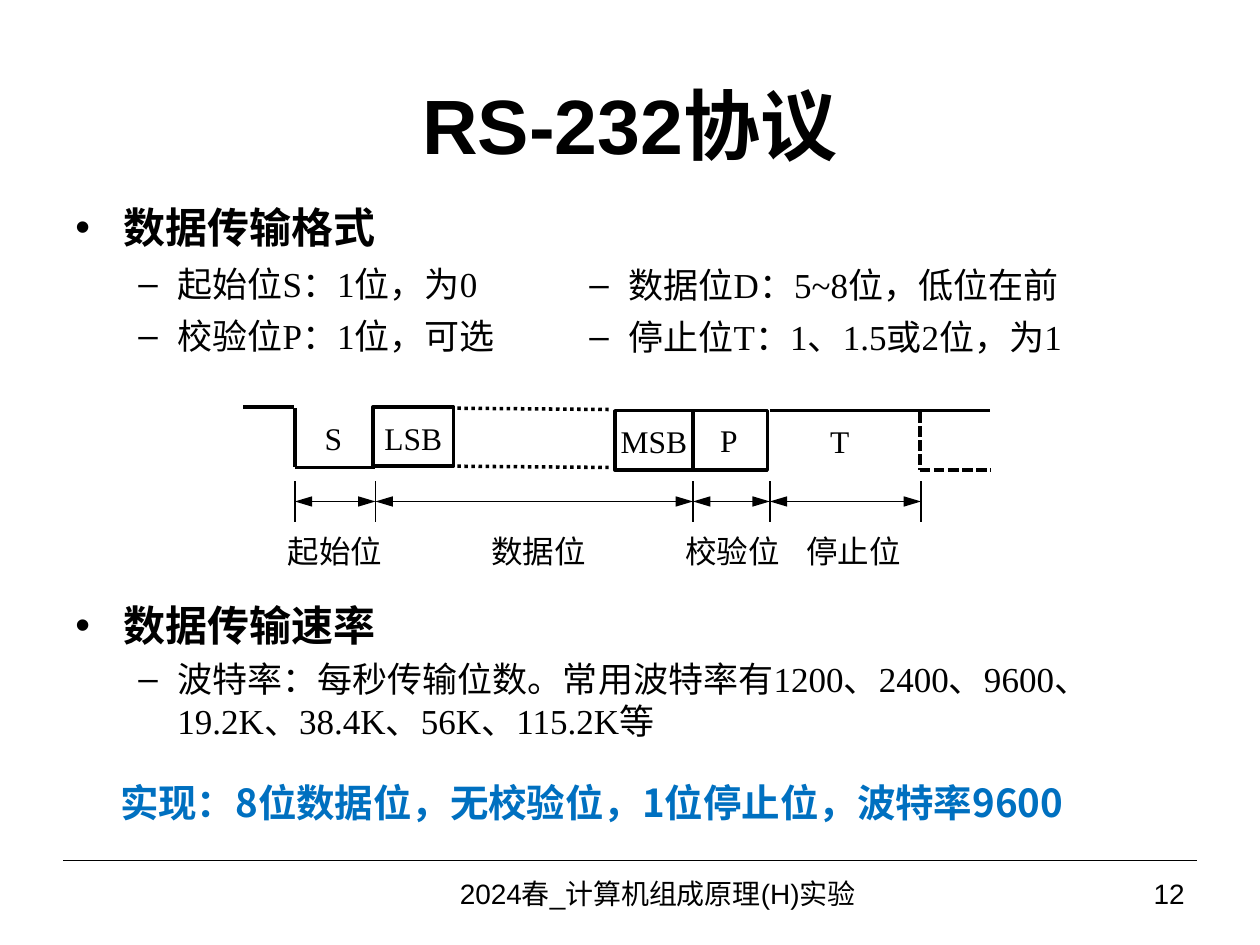
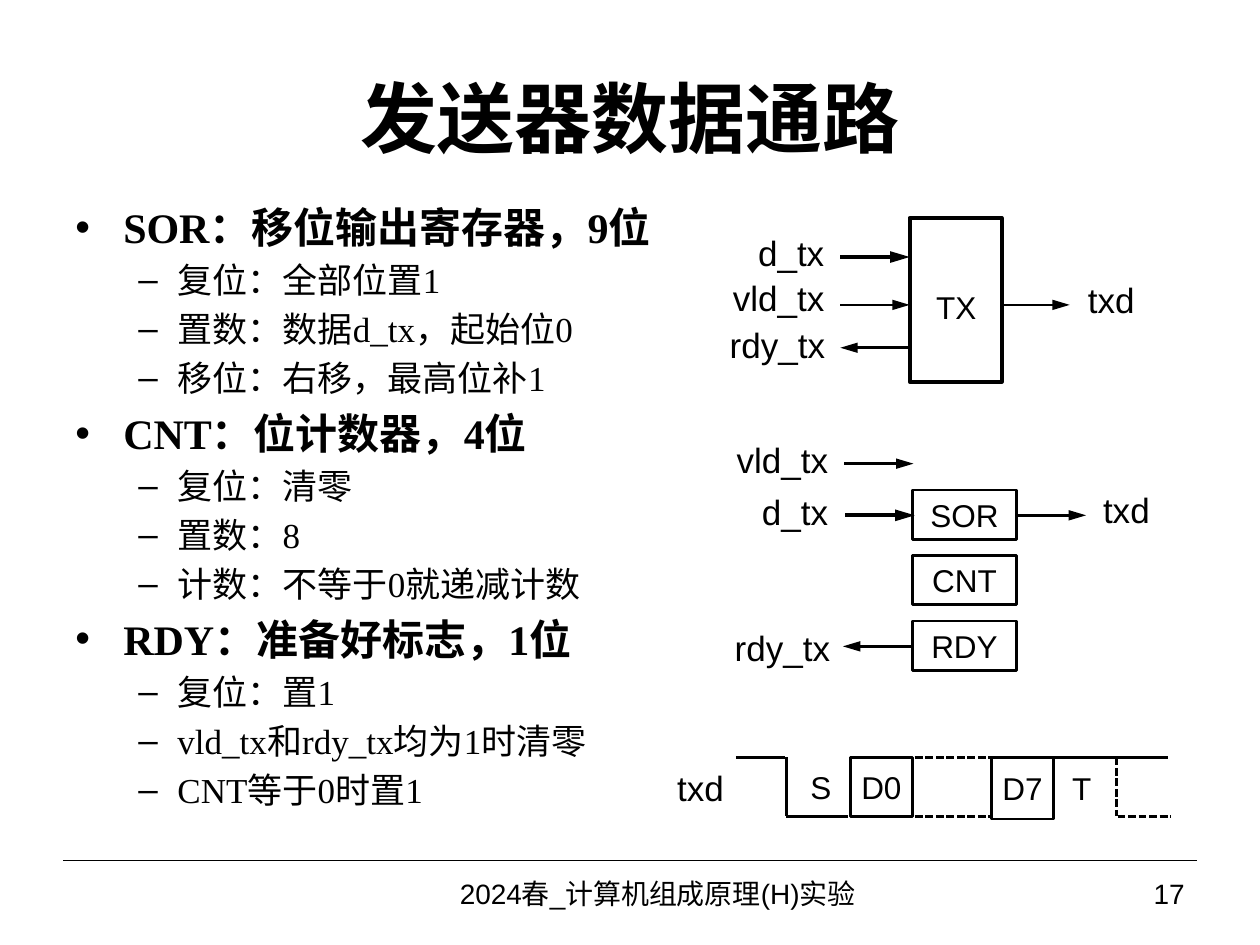
from lxml.etree import SubElement
from pptx import Presentation
from pptx.dml.color import RGBColor
from pptx.enum.dml import MSO_LINE
from pptx.enum.shapes import MSO_CONNECTOR, MSO_SHAPE
from pptx.enum.text import MSO_ANCHOR, PP_ALIGN
from pptx.oxml.ns import qn
from pptx.util import Inches, Pt

COLORS = {"ink": "000000", "paper": "FFFFFF", "accent": "0070C0"}
SANS, SERIF, CJK = "Arial", "Times New Roman", "Noto Sans CJK SC"
ALIGN = {"l": PP_ALIGN.LEFT, "c": PP_ALIGN.CENTER, "r": PP_ALIGN.RIGHT}
BULLETS = [("•", 0.38, 0.38, 24), ("–", 0.81, 0.31, 20)]
FOOTER = "2024春_计算机组成原理(H)实验 "
FOOTER_TOP = 6.83
SIGNAL_WIDTH, SIGNAL_HEIGHT = 0.9, 0.42


def color(name):
    return RGBColor.from_string(COLORS[name])


def format_run(run, size, font, ink="ink", bold=False):
    run.font.size = Pt(size)
    run.font.bold = bold
    run.font.color.rgb = color(ink)
    run.font.name = font
    SubElement(run._r.get_or_add_rPr(), qn("a:ea")).set("typeface", CJK)


def write(shape, text, size=18, font=SANS, ink="ink", bold=False, align="c",
          middle=True, inset=(0, 0)):
    frame = shape.text_frame
    frame.word_wrap = True
    frame.vertical_anchor = MSO_ANCHOR.MIDDLE if middle else MSO_ANCHOR.TOP
    frame.margin_left = frame.margin_right = Inches(inset[0])
    frame.margin_top = frame.margin_bottom = Inches(inset[1])
    paragraph = frame.paragraphs[0]
    paragraph.alignment = ALIGN[align]
    run = paragraph.add_run()
    run.text = text
    format_run(run, size, font, ink, bold)


def add_label(slide, text, left, top, width, height, **style):
    label = slide.shapes.add_textbox(*map(Inches, (left, top, width, height)))
    write(label, text, **style)


def add_cell(slide, left, top, width, height, text=None, weight=1.5):
    cell = slide.shapes.add_shape(
        MSO_SHAPE.RECTANGLE, *map(Inches, (left, top, width, height)))
    cell.shadow.inherit = False
    cell.fill.background()
    cell.line.color.rgb = color("ink")
    cell.line.width = Pt(weight)
    if text:
        write(cell, text)


def add_line(slide, x1, y1, x2, y2, weight=1.5, dash=None, ends=()):
    line = slide.shapes.add_connector(
        MSO_CONNECTOR.STRAIGHT, *map(Inches, (x1, y1, x2, y2)))
    line.line.color.rgb = color("ink")
    line.line.width = Pt(weight)
    if dash:
        line.line.dash_style = dash
    outline = line.line._get_or_add_ln()
    for end in ends:
        SubElement(outline, qn(f"a:{end}"), type="triangle", w="med", len="lg")
    SubElement(line._element.spPr, qn("a:effectLst"))


def add_bullets(slide, items, left, top, width, height, sub_gap=4):
    frame = slide.shapes.add_textbox(
        *map(Inches, (left, top, width, height))).text_frame
    frame.word_wrap = True
    for index, (level, text) in enumerate(items):
        mark, margin, hanging, size = BULLETS[level]
        paragraph = frame.add_paragraph() if index else frame.paragraphs[0]
        paragraph.level = level
        paragraph.space_before = Pt(sub_gap if level else 4.8)
        properties = paragraph._p.get_or_add_pPr()
        properties.set("marL", str(Inches(margin)))
        properties.set("indent", str(-Inches(hanging)))
        SubElement(properties, qn("a:buFont"), typeface=SANS)
        SubElement(properties, qn("a:buChar"), char=mark)
        run = paragraph.add_run()
        run.text = text
        format_run(run, size, SERIF, bold=level == 0)


def start_slide(deck, title, number, title_height):
    slide = deck.slides.add_slide(deck.slide_layouts[6])
    slide.background.fill.solid()
    slide.background.fill.fore_color.rgb = color("paper")
    add_line(slide, 0.5, FOOTER_TOP, 9.5, FOOTER_TOP, 0.75)
    add_label(slide, title, 0.5, 0.3, 9, title_height,
              size=44, bold=True, inset=(0.1, 0.05))
    add_label(slide, FOOTER, 2.83, FOOTER_TOP, 4.83, 0.52,
              size=16, inset=(0.1, 0.05))
    add_label(slide, str(number), 7.67, FOOTER_TOP, 1.83, 0.52,
              size=16, align="r", inset=(0.1, 0.05))
    return slide


def add_frame_format(slide):
    for wire in [(1.93, 3.23, 2.33, 3.23), (2.34, 3.24, 2.34, 3.71),
                 (2.34, 3.71, 2.98, 3.71)]:
        add_line(slide, *wire, weight=2)
    add_line(slide, 6.11, 3.26, 7.86, 3.26)
    for y in (3.24, 3.7):
        add_line(slide, 3.63, y, 4.83, y + 0.01, 2, MSO_LINE.ROUND_DOT)
    add_line(slide, 7.3, 3.27, 7.3, 3.73, 2, MSO_LINE.SQUARE_DOT)
    add_line(slide, 7.3, 3.73, 7.86, 3.73, 2, MSO_LINE.SQUARE_DOT)
    for left, top, width in [(2.96, 3.23, 0.64), (4.88, 3.26, 0.62),
                             (5.5, 3.26, 0.59)]:
        add_cell(slide, left, top, width, 0.47, weight=2)
    for bit, left, top, width in [
            ("S", 2.44, 3.28, 0.41), ("LSB", 2.84, 3.28, 0.88),
            ("MSB", 4.75, 3.3, 0.88), ("P", 5.58, 3.29, 0.41),
            ("T", 6.46, 3.3, 0.41)]:
        add_label(slide, bit, left, top, width, 0.4,
                  font=SERIF, middle=False, inset=(0, 0.05))

    bounds = [2.34, 2.98, 5.5, 6.11, 7.31]
    for x in bounds:
        add_line(slide, x, 4.14, x, 3.82, 1)
    for start, stop in zip(bounds, bounds[1:]):
        add_line(slide, start, 3.98, stop, 3.98, 0.75,
                 ends=("headEnd", "tailEnd"))
    for field, left, width, align in [
            ("起始位", 2.24, 0.84, "c"), ("数据位", 3.51, 1.53, "c"),
            ("校验位", 5.37, 0.89, "c"), ("停止位", 6.4, 1.54, "l")]:
        add_label(slide, field, left, 4.17, width, 0.4, font=CJK,
                  align=align, middle=False, inset=(0, 0.05))


def add_signal(slide, name, center_x, center_y):
    add_label(slide, name, center_x - SIGNAL_WIDTH / 2,
              center_y - SIGNAL_HEIGHT / 2, SIGNAL_WIDTH, SIGNAL_HEIGHT,
              size=20)


def add_input(slide, x, y, weight=1.5):
    add_line(slide, x, y, x + 0.55, y, weight, ends=("tailEnd",))


def add_output(slide, x, y):
    add_line(slide, x, y, x + 0.55, y, ends=("headEnd",))


def add_transmitter(slide):
    add_cell(slide, 7.22, 1.73, 0.73, 1.3, weight=2.25)
    add_label(slide, "TX", 7.33, 2.24, 0.52, 0.4,
              middle=False, inset=(0, 0.05))
    add_signal(slide, "d_tx", 6.28, 2)
    add_signal(slide, "vld_tx", 6.18, 2.36)
    add_signal(slide, "rdy_tx", 6.17, 2.73)
    add_signal(slide, "txd", 8.82, 2.38)
    add_input(slide, 6.67, 2.04, 2.25)
    add_input(slide, 6.67, 2.42)
    add_input(slide, 7.94, 2.42)
    add_output(slide, 6.67, 2.76)


def add_registers(slide):
    for row, register in enumerate(["SOR", "CNT", "RDY"]):
        add_cell(slide, 7.24, 3.89 + 0.52 * row, 0.83, 0.39, register)
    add_signal(slide, "vld_tx", 6.21, 3.65)
    add_signal(slide, "d_tx", 6.31, 4.06)
    add_signal(slide, "rdy_tx", 6.21, 5.14)
    add_signal(slide, "txd", 8.94, 4.04)
    add_input(slide, 6.7, 3.68)
    add_input(slide, 6.71, 4.09, 2.25)
    add_input(slide, 8.07, 4.09)
    add_output(slide, 6.69, 5.13)


def add_waveform(slide):
    high, low = 6.01, 6.48
    add_signal(slide, "txd", 5.56, 6.25)
    for wire in [(5.84, high, 6.23, high), (6.24, high, 6.24, low),
                 (6.24, low, 6.73, low), (8.36, high, 9.27, high)]:
        add_line(slide, *wire)
    for wire in [(7.26, high, 7.87, high), (7.26, low, 7.87, low),
                 (8.86, high, 8.86, low), (8.87, low, 9.29, low)]:
        add_line(slide, *wire, dash=MSO_LINE.SQUARE_DOT)
    add_cell(slide, 6.75, high, 0.49, 0.47, "D0")
    add_cell(slide, 7.87, high, 0.49, 0.49, "D7")
    add_label(slide, "S", 6.27, high, 0.49, 0.47)
    add_label(slide, "T", 8.34, 6.02, 0.49, 0.47)


def build_protocol(deck):
    slide = start_slide(deck, "RS-232协议", 12, 1.37)
    add_bullets(slide, [(0, "数据传输格式"), (1, "起始位S：1位，为0"),
                        (1, "校验位P：1位，可选")],
                0.5, 1.55, 4.2, 1.4, sub_gap=6)
    add_bullets(slide, [(1, "数据位D：5~8位，低位在前"),
                        (1, "停止位T：1、1.5或2位，为1")],
                4.08, 2.04, 5.21, 0.95, sub_gap=6)
    add_bullets(slide, [
        (0, "数据传输速率"),
        (1, "波特率：每秒传输位数。常用波特率有1200、2400、9600、"
            "19.2K、38.4K、56K、115.2K等")], 0.5, 4.71, 8.87, 1.3)
    add_frame_format(slide)
    add_label(slide, "实现：8位数据位，无校验位，1位停止位，波特率9600",
              0.5, 6.13, 8.39, 0.47, size=22, font=CJK, ink="accent",
              bold=True, middle=False, inset=(0, 0.05))


def build_datapath(deck):
    slide = start_slide(deck, "发送器数据通路", 17, 1.25)
    add_bullets(slide, [
        (0, "SOR：移位输出寄存器，9位"),
        (1, "复位：全部位置1"),
        (1, "置数：数据d_tx，起始位0"),
        (1, "移位：右移，最高位补1"),
        (0, "CNT：位计数器，4位"),
        (1, "复位：清零"),
        (1, "置数：8"),
        (1, "计数：不等于0就递减计数"),
        (0, "RDY：准备好标志，1位"),
        (1, "复位：置1"),
        (1, "vld_tx和rdy_tx均为1时清零"),
        (1, "CNT等于0时置1")], 0.5, 1.55, 5.21, 5.32)
    add_transmitter(slide)
    add_registers(slide)
    add_waveform(slide)


def main():
    deck = Presentation()
    deck.slide_width, deck.slide_height = Inches(10), Inches(7.5)
    build_protocol(deck)
    build_datapath(deck)
    deck.save("out.pptx")


if __name__ == "__main__":
    main()
